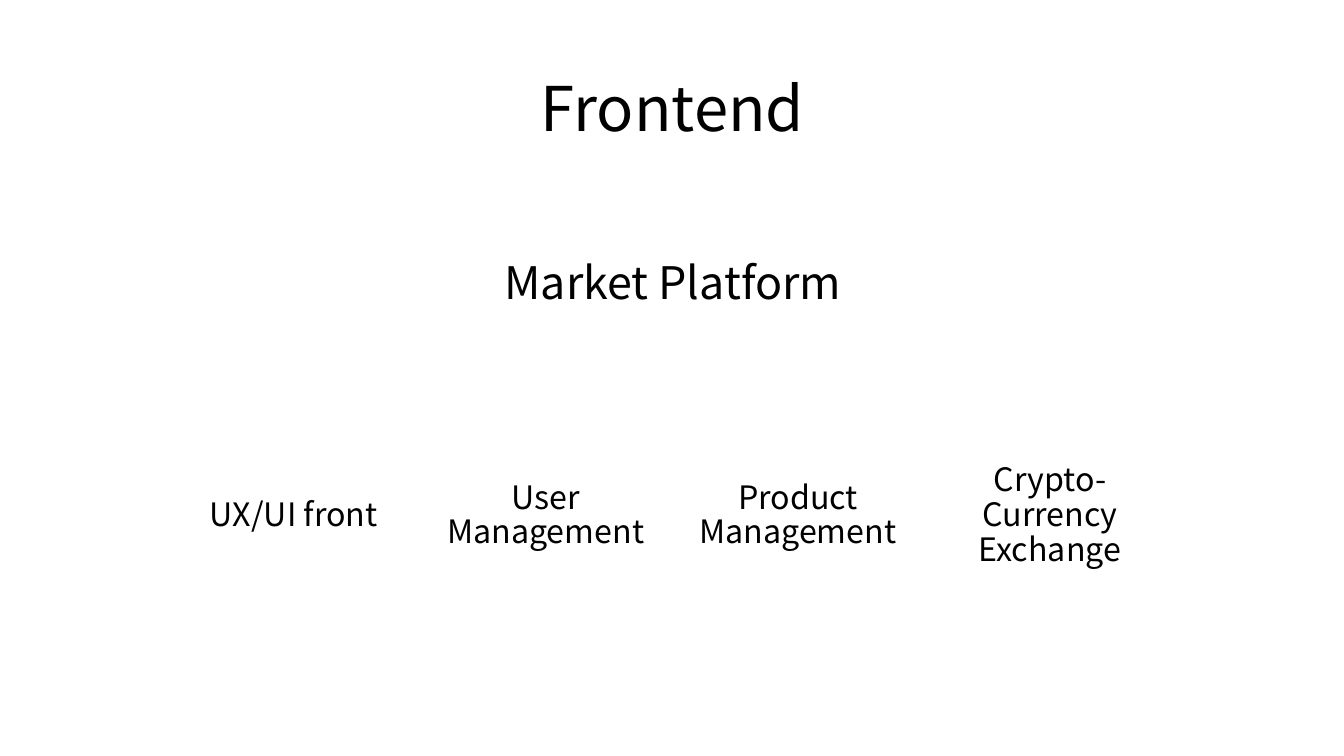
from dataclasses import dataclass

from pptx import Presentation
from pptx.dml.color import RGBColor
from pptx.enum.shapes import MSO_SHAPE as Shape
from pptx.enum.text import MSO_ANCHOR as Anchor, PP_ALIGN as Align
from pptx.text.text import TextFrame
from pptx.util import Inches, Pt

FONT = "Noto Sans CJK KR"
COLOURS = {"text": "000000", "card": "FFFFFF"}
CARD_TOP, CARD_WIDTH, CARD_HEIGHT = 3.72, 2.31, 2.8
FIRST_CARD_LEFT, CARD_PITCH = 1.76, 2.5


@dataclass
class Card:
    label: str
    column: int

    @property
    def left(self) -> float:
        return FIRST_CARD_LEFT + self.column * CARD_PITCH


CARDS = [
    Card("UX/UI front", 0),
    Card("User Management", 1),
    Card("Product Management", 2),
    Card("Crypto-Currency Exchange", 3),
]


def colour(name: str) -> RGBColor:
    return RGBColor.from_string(COLOURS[name])


def write_centred(frame: TextFrame, text: str, size: float, inset: float) -> None:
    frame.text = text
    frame.word_wrap = True
    frame.vertical_anchor = Anchor.MIDDLE
    frame.margin_left = frame.margin_right = Inches(inset)
    frame.margin_top = frame.margin_bottom = Inches(inset)
    paragraph = frame.paragraphs[0]
    paragraph.alignment = Align.CENTER
    paragraph.line_spacing = 0.9
    font = paragraph.runs[0].font
    font.name = FONT
    font.size = Pt(size)
    font.color.rgb = colour("text")


def add_card(slide, card: Card) -> None:
    shape = slide.shapes.add_shape(
        Shape.ROUNDED_RECTANGLE, Inches(card.left), Inches(CARD_TOP),
        Inches(CARD_WIDTH), Inches(CARD_HEIGHT))
    shape.adjustments[0] = 0.1
    shape.shadow.inherit = False
    shape.fill.solid()
    shape.fill.fore_color.rgb = colour("card")
    shape.line.fill.background()
    write_centred(shape.text_frame, card.label, 23, 0.1)


def main() -> None:
    presentation = Presentation()
    presentation.slide_width = Inches(13.33)
    presentation.slide_height = Inches(7.5)
    slide = presentation.slides.add_slide(presentation.slide_layouts[5])

    title = slide.shapes.title
    title.left, title.top = Inches(0.92), Inches(0.38)
    title.width, title.height = Inches(11.5), Inches(1.45)
    write_centred(title.text_frame, "Frontend", 44, 0.1)

    platform = slide.shapes.add_textbox(
        Inches(1.8), Inches(2.33), Inches(9.75), Inches(1))
    write_centred(platform.text_frame, "Market Platform", 32, 0.13)

    for card in CARDS:
        add_card(slide, card)

    presentation.save("out.pptx")


if __name__ == "__main__":
    main()
